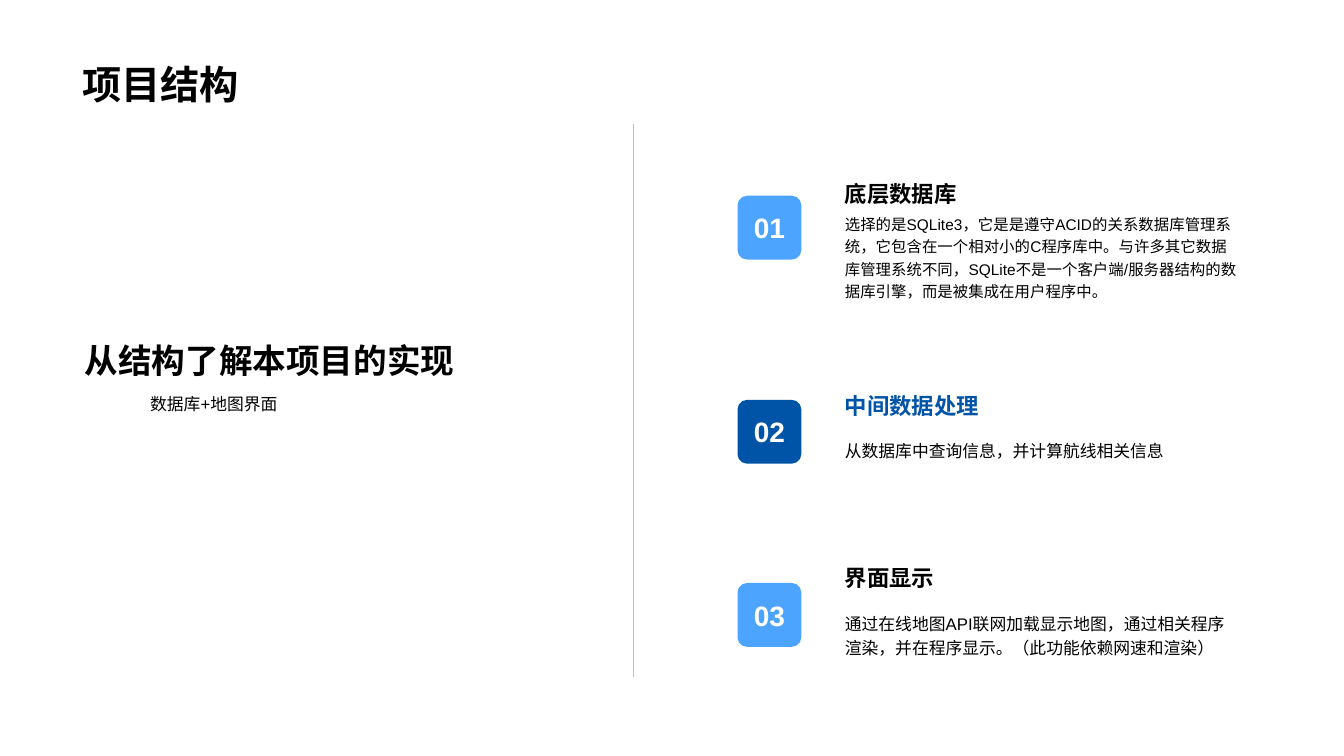
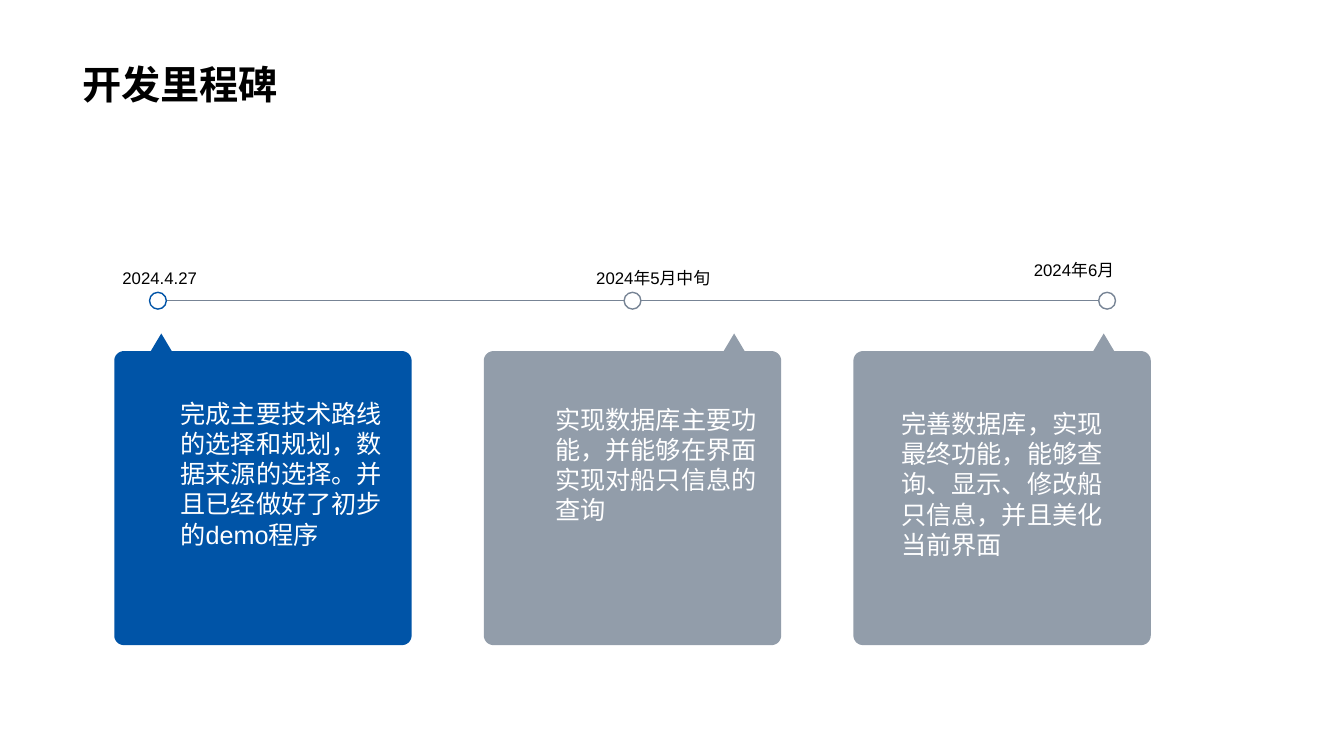
import math
from dataclasses import dataclass

import lxml.etree
import pptx
import pptx.dml.color
import pptx.enum.lang
import pptx.enum.shapes
import pptx.enum.text
import pptx.oxml.ns
import pptx.shapes.base
import pptx.slide
import pptx.util

# Shared style
FONT = "Arial"
BLACK = pptx.dml.color.RGBColor(0x00, 0x00, 0x00)
WHITE = pptx.dml.color.RGBColor(0xFF, 0xFF, 0xFF)
DEEP_BLUE = pptx.dml.color.RGBColor(0x00, 0x54, 0xA7)
LIGHT_BLUE = pptx.dml.color.RGBColor(0x4C, 0xA4, 0xFF)
SLATE = pptx.dml.color.RGBColor(0x77, 0x84, 0x95)
PALE_SLATE = pptx.dml.color.RGBColor(0x92, 0x9D, 0xAA)
RULE_GREY = pptx.dml.color.RGBColor(0xBF, 0xBF, 0xBF)

SHAPES = pptx.enum.shapes.MSO_SHAPE
TOP = pptx.enum.text.MSO_ANCHOR.TOP
MIDDLE = pptx.enum.text.MSO_ANCHOR.MIDDLE
BOTTOM = pptx.enum.text.MSO_ANCHOR.BOTTOM

# Grid of square cells: 160 columns by 90 rows
COLUMNS, ROWS = 160, 90
SLIDE_WIDTH = pptx.util.Emu(12192000)
CELL = SLIDE_WIDTH / COLUMNS


@dataclass(frozen=True)
class Area:
    """A place on the grid, in cells."""
    left: float
    top: float
    width: float
    height: float


@dataclass(frozen=True)
class TextStyle:
    size: float
    color: pptx.dml.color.RGBColor = BLACK
    bold: bool = False
    anchor: pptx.enum.text.MSO_ANCHOR = TOP
    spacing: float = 1.0
    centered: bool = False


@dataclass(frozen=True)
class Topic:
    number: str
    badge_top: float
    color: pptx.dml.color.RGBColor
    heading: str
    heading_color: pptx.dml.color.RGBColor
    heading_top: float
    heading_height: float
    body: str
    body_size: float
    body_top: float
    body_height: float


@dataclass(frozen=True)
class Milestone:
    date: str
    date_area: Area
    summary: str
    summary_area: Area
    pointer: float
    card_color: pptx.dml.color.RGBColor
    ring_color: pptx.dml.color.RGBColor


TITLE_STYLE = TextStyle(28, bold=True, anchor=BOTTOM)
STATEMENT_STYLE = TextStyle(24, bold=True, anchor=BOTTOM)
BADGE_STYLE = TextStyle(20, WHITE, bold=True, anchor=MIDDLE, centered=True)
LABEL_STYLE = TextStyle(12, spacing=1.2)
SUMMARY_STYLE = TextStyle(18, WHITE)
TITLE_AREA = Area(8.6, 0, 142.6, 13.4)

# Topics
BADGE_LEFT, BADGE_SIZE = 87.8, 7.6
TOPIC_LEFT, HEADING_WIDTH, BODY_WIDTH = 99.4, 50, 49.3
TOPICS = (
    Topic("01", 23.3, LIGHT_BLUE, "底层数据库", BLACK, 19, 6.2,
          "选择的是SQLite3，它是是遵守ACID的关系数据库管理系统，它包含在一个相对小的C程序库中。"
          "与许多其它数据库管理系统不同，SQLite不是一个客户端/服务器结构的数据库引擎，"
          "而是被集成在用户程序中。", 11, 24.6, 14.9),
    Topic("02", 47.6, DEEP_BLUE, "中间数据处理", DEEP_BLUE, 46, 4.5,
          "从数据库中查询信息，并计算航线相关信息", 12, 51.4, 10),
    Topic("03", 69.4, LIGHT_BLUE, "界面显示", BLACK, 64.8, 6.2,
          "通过在线地图API联网加载显示地图，通过相关程序渲染，并在程序显示。"
          "（此功能依赖网速和渲染）", 12, 72, 10),
)

# Timeline
RING_LEFT, RING_TOP, RING_SIZE, RING_STEP = 17.8, 34.8, 2, 56.5
CARD_LEFT, CARD_TOP, CARD_STEP = 13.6, 41.8, 44
CARD_WIDTH, CARD_HEIGHT, CARD_RADIUS = 35.4, 35, 1.15
POINTER_INSET, POINTER_HALF, POINTER_HEIGHT = 5.6, 1.25, 2.1
MILESTONES = (
    Milestone("2024.4.27", Area(13.4, 30.8, 12.7, 3.8),
              "完成主要技术路线的选择和规划，数据来源的选择。并且已经做好了初步的demo程序",
              Area(20.3, 46.8, 28, 19.4), POINTER_INSET, DEEP_BLUE, DEEP_BLUE),
    Milestone("2024年5月中旬", Area(69.8, 30.8, 20.3, 3.8),
              "实现数据库主要功能，并能够在界面实现对船只信息的查询",
              Area(64.9, 47.5, 28, 15.7), CARD_WIDTH - POINTER_INSET, PALE_SLATE, SLATE),
    Milestone("2024年6月", Area(121.9, 29.8, 20.3, 3.8),
              "完善数据库，实现最终功能，能够查询、显示、修改船只信息，并且美化当前界面",
              Area(106.1, 48, 28, 19.4), CARD_WIDTH - POINTER_INSET, PALE_SLATE, SLATE),
)


def cells(count: float) -> pptx.util.Emu:
    return pptx.util.Emu(round(count * CELL))


def place(area: Area) -> tuple[pptx.util.Emu, ...]:
    return cells(area.left), cells(area.top), cells(area.width), cells(area.height)


def write(shape: pptx.shapes.base.BaseShape, text: str, style: TextStyle) -> None:
    frame = shape.text_frame
    frame.word_wrap = True
    frame.vertical_anchor = style.anchor
    paragraph = frame.paragraphs[0]
    paragraph.line_spacing = style.spacing
    paragraph.alignment = (pptx.enum.text.PP_ALIGN.CENTER if style.centered
                           else pptx.enum.text.PP_ALIGN.LEFT)
    run = paragraph.add_run()
    run.text = text
    font = run.font
    font.name, font.size, font.bold = FONT, pptx.util.Pt(style.size), style.bold
    font.color.rgb = style.color
    font.language_id = pptx.enum.lang.MSO_LANGUAGE_ID.SIMPLIFIED_CHINESE
    # East Asian characters use the same font
    east_asian = lxml.etree.SubElement(run._r.get_or_add_rPr(), pptx.oxml.ns.qn("a:ea"))
    east_asian.set("typeface", FONT)


def add_text(slide: pptx.slide.Slide, area: Area, text: str, style: TextStyle) -> None:
    write(slide.shapes.add_textbox(*place(area)), text, style)


def paint(shape: pptx.shapes.base.BaseShape, fill: pptx.dml.color.RGBColor,
          outline: pptx.dml.color.RGBColor | None = None) -> None:
    shape.shadow.inherit = False
    shape.fill.solid()
    shape.fill.fore_color.rgb = fill
    if outline is None:
        shape.line.fill.background()
    else:
        shape.line.color.rgb = outline
        shape.line.width = pptx.util.Pt(1)


def add_line(slide: pptx.slide.Slide, start: tuple[float, float], end: tuple[float, float],
             color: pptx.dml.color.RGBColor, width: float) -> None:
    line = slide.shapes.add_connector(
        pptx.enum.shapes.MSO_CONNECTOR.STRAIGHT, *map(cells, start + end))
    line.line.color.rgb = color
    line.line.width = pptx.util.Pt(width)
    lxml.etree.SubElement(line._element.spPr, pptx.oxml.ns.qn("a:effectLst"))


def add_slide(presentation: pptx.presentation.Presentation, title: str) -> pptx.slide.Slide:
    slide = presentation.slides.add_slide(presentation.slide_layouts[6])
    add_text(slide, TITLE_AREA, title, TITLE_STYLE)
    return slide


def add_topic(slide: pptx.slide.Slide, topic: Topic) -> None:
    badge_area = Area(BADGE_LEFT, topic.badge_top, BADGE_SIZE, BADGE_SIZE)
    badge = slide.shapes.add_shape(SHAPES.ROUNDED_RECTANGLE, *place(badge_area))
    badge.adjustments[0] = 0.15
    paint(badge, topic.color)
    write(badge, topic.number, BADGE_STYLE)
    add_text(slide, Area(TOPIC_LEFT, topic.body_top, BODY_WIDTH, topic.body_height),
             topic.body, TextStyle(topic.body_size, spacing=1.2))
    add_text(slide, Area(TOPIC_LEFT, topic.heading_top, HEADING_WIDTH, topic.heading_height),
             topic.heading, TextStyle(16, topic.heading_color, bold=True, anchor=BOTTOM))


def add_card(slide: pptx.slide.Slide, left: float, pointer: float,
             color: pptx.dml.color.RGBColor) -> None:
    """Draw a rounded card with a pointer rising from its top edge."""
    tip = left + pointer
    near_left, near_right = left + CARD_RADIUS, left + CARD_WIDTH - CARD_RADIUS
    near_top = CARD_TOP + CARD_RADIUS
    near_bottom = CARD_TOP + CARD_HEIGHT - CARD_RADIUS
    corners = ((near_right, near_top, -90), (near_right, near_bottom, 0),
               (near_left, near_bottom, 90), (near_left, near_top, 180))
    points = [(tip + POINTER_HALF, CARD_TOP)]
    for center_x, center_y, first_angle in corners:
        for turn in range(0, 91, 10):
            angle = math.radians(first_angle + turn)
            points.append((center_x + CARD_RADIUS * math.cos(angle),
                           center_y + CARD_RADIUS * math.sin(angle)))
    points.append((tip - POINTER_HALF, CARD_TOP))
    builder = slide.shapes.build_freeform(cells(tip), cells(CARD_TOP - POINTER_HEIGHT))
    builder.add_line_segments([(cells(x), cells(y)) for x, y in points], close=True)
    paint(builder.convert_to_shape(), color)


def add_milestone(slide: pptx.slide.Slide, index: int, milestone: Milestone) -> None:
    ring_area = Area(RING_LEFT + index * RING_STEP, RING_TOP, RING_SIZE, RING_SIZE)
    ring = slide.shapes.add_shape(SHAPES.OVAL, *place(ring_area))
    paint(ring, WHITE, milestone.ring_color)
    add_card(slide, CARD_LEFT + index * CARD_STEP, milestone.pointer, milestone.card_color)
    add_text(slide, milestone.date_area, milestone.date, LABEL_STYLE)
    add_text(slide, milestone.summary_area, milestone.summary, SUMMARY_STYLE)


def build_structure(presentation: pptx.presentation.Presentation) -> None:
    slide = add_slide(presentation, "项目结构")
    add_text(slide, Area(8.9, 34.7, 60.8, 11.2), "从结构了解本项目的实现", STATEMENT_STYLE)
    add_text(slide, Area(16.7, 45.8, 18, 13.7), "数据库+地图界面", LABEL_STYLE)
    add_line(slide, (75.4, 14.8), (75.4, 80.6), RULE_GREY, 0.5)
    for topic in TOPICS:
        add_topic(slide, topic)


def build_milestones(presentation: pptx.presentation.Presentation) -> None:
    slide = add_slide(presentation, "开发里程碑")
    axis = RING_TOP + RING_SIZE / 2
    last_ring = RING_LEFT + (len(MILESTONES) - 1) * RING_STEP
    add_line(slide, (RING_LEFT + RING_SIZE, axis), (last_ring, axis), SLATE, 1)
    for index, milestone in enumerate(MILESTONES):
        add_milestone(slide, index, milestone)


def main() -> None:
    presentation = pptx.Presentation()
    presentation.slide_width, presentation.slide_height = SLIDE_WIDTH, cells(ROWS)
    build_structure(presentation)
    build_milestones(presentation)
    presentation.save("out.pptx")


if __name__ == "__main__":
    main()
